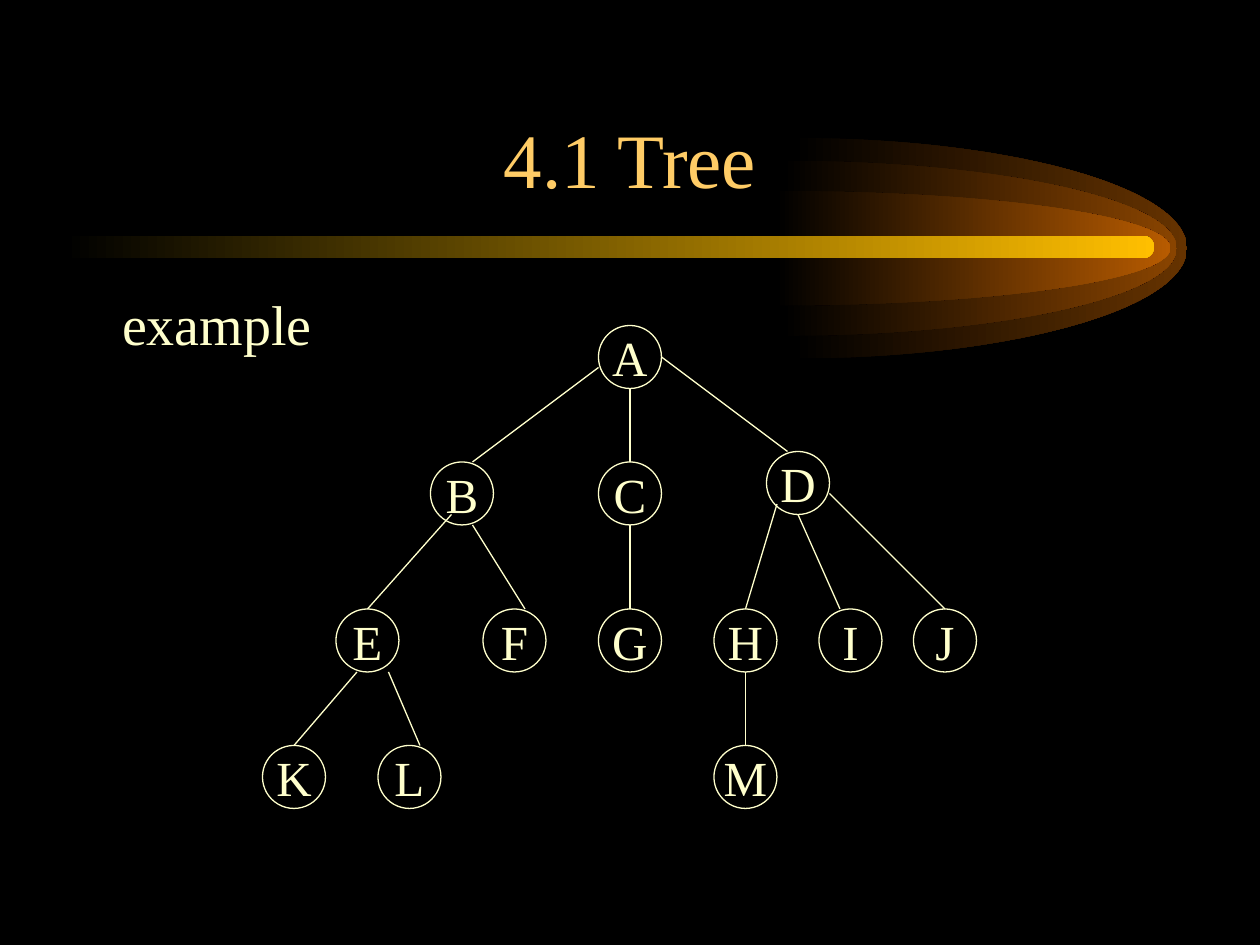
from dataclasses import dataclass

from lxml import etree
from pptx import Presentation, util as u
from pptx.dml.color import RGBColor
from pptx.enum import shapes, text
from pptx.oxml.ns import qn

# Content: the grid has 120 columns and 90 rows over the slide
TITLE = "4.1 Tree"
BODY = "example"
# letter: column and row of the circle's centre
NODES = {
    "A": (60, 34),
    "B": (44, 47), "C": (60, 47), "D": (76, 46),
    "E": (35, 61), "F": (49, 61), "G": (60, 61),
    "H": (71, 61), "I": (81, 61), "J": (90, 61),
    "K": (28, 74), "L": (39, 74), "M": (71, 74),
}
# parent, child, start offset from the parent's centre, column offset at the child's top
EDGES = [
    ("A", "B", (-3, 1), 1), ("A", "C", (0, 3), 0), ("A", "D", (3, 0), -1),
    ("B", "E", (-1, 2), 0), ("B", "F", (1, 3), 1), ("C", "G", (0, 3), 0),
    ("D", "H", (-2, 2), 0), ("D", "I", (0, 3), -1), ("D", "J", (3, 1), 0),
    ("E", "K", (-1, 3), 0), ("E", "L", (2, 3), 1), ("H", "M", (0, 3), 0),
]
# comet glow: left edge, height (inches), end colour
GLOWS = [(6.29, 1.75, "663300"), (6.21, 1.39, "894400"), (6.16, 0.91, "B75B00")]


@dataclass(frozen=True)
class Theme:
    font: str = "Times New Roman"
    background: str = "000000"
    title: str = "FFCC66"
    body: str = "FFFFCC"
    bar: str = "FFBF00"
    title_size: int = 44
    body_size: int = 32
    node_size: int = 28
    line_width: float = 0.75


THEME = Theme()
WIDTH, HEIGHT = u.Inches(10), u.Inches(7.5)
CELL = WIDTH // 120
RADIUS = 3
GLOW_Y, GLOW_WIDTH = 1.97, 3.13
BEZIER = 0.55  # control-point share that rounds a quarter ellipse


def color(value):
    return RGBColor.from_string(value)


def write(shape, words, size, ink, align=text.PP_ALIGN.CENTER,
          anchor=text.MSO_ANCHOR.MIDDLE, wrap=True, left_inset=0.1):
    frame = shape.text_frame
    frame.word_wrap = wrap
    frame.vertical_anchor = anchor
    frame.margin_left = u.Inches(left_inset)
    paragraph = frame.paragraphs[0]
    paragraph.alignment = align
    run = paragraph.add_run()
    run.text = words
    run.font.name = THEME.font
    run.font.size = u.Pt(size)
    run.font.color.rgb = color(ink)


def fade_in(shape, end):
    """Fill from the background colour at left to the end colour at right."""
    shape.shadow.inherit = False
    shape.line.fill.background()
    shape.fill.gradient()
    shape.fill.gradient_angle = 0
    for stop, value in zip(shape.fill.gradient_stops, (THEME.background, end)):
        stop.color.rgb = color(value)


def curve(segment, points):
    """Turn a straight path segment into a cubic one through the given points."""
    segment.tag = qn("a:cubicBezTo")
    for child in list(segment):
        segment.remove(child)
    for x, y in points:
        etree.SubElement(segment, qn("a:pt"), x=str(round(x)), y=str(round(y)))


def add_glow(slide, left, height, end):
    """Add the right half of an ellipse."""
    x, y = u.Inches(left), u.Inches(GLOW_Y - height / 2)
    w, h = u.Inches(GLOW_WIDTH), u.Inches(height)
    builder = slide.shapes.build_freeform(x, y)
    builder.add_line_segments([(x + w, y + h // 2), (x, y + h)], close=True)
    glow = builder.convert_to_shape()
    upper, lower = list(glow._element.iter(qn("a:lnTo")))
    rise = h / 2 * (1 - BEZIER)
    curve(upper, [(w * BEZIER, 0), (w, rise), (w, h / 2)])
    curve(lower, [(w, h - rise), (w * BEZIER, h), (0, h)])
    fade_in(glow, end)


def add_comet(slide):
    for glow in GLOWS:
        add_glow(slide, *glow)
    bar = slide.shapes.add_shape(
        shapes.MSO_SHAPE.ROUNDED_RECTANGLE,
        u.Inches(0.5), u.Inches(1.87), u.Inches(8.66), u.Inches(0.18))
    bar.adjustments[0] = 0.5
    fade_in(bar, THEME.bar)


def add_node(slide, letter, column, row):
    node = slide.shapes.add_shape(
        shapes.MSO_SHAPE.OVAL, (column - RADIUS) * CELL, (row - RADIUS) * CELL,
        2 * RADIUS * CELL, 2 * RADIUS * CELL)
    node.shadow.inherit = False
    node.fill.background()
    node.line.color.rgb = color(THEME.body)
    node.line.width = u.Pt(THEME.line_width)
    write(node, letter, THEME.node_size, THEME.body, wrap=False)
    return node


def add_edge(slide, nodes, parent, child, start, end_shift):
    (x1, y1), (x2, y2) = NODES[parent], NODES[child]
    edge = slide.shapes.add_connector(
        shapes.MSO_CONNECTOR.STRAIGHT,
        (x1 + start[0]) * CELL, (y1 + start[1]) * CELL,
        (x2 + end_shift) * CELL, (y2 - RADIUS) * CELL)
    edge.line.color.rgb = color(THEME.body)
    edge.line.width = u.Pt(THEME.line_width)
    etree.SubElement(edge._element.spPr, qn("a:effectLst"))
    if end_shift == 0:
        edge.end_connect(nodes[child], 0)


def main():
    presentation = Presentation()
    presentation.slide_width, presentation.slide_height = WIDTH, HEIGHT
    slide = presentation.slides.add_slide(presentation.slide_layouts[6])
    slide.background.fill.solid()
    slide.background.fill.fore_color.rgb = color(THEME.background)

    add_comet(slide)
    title = slide.shapes.add_textbox(9 * CELL, 5 * CELL, 102 * CELL, 15 * CELL)
    write(title, TITLE, THEME.title_size, THEME.title, anchor=text.MSO_ANCHOR.BOTTOM)
    body = slide.shapes.add_textbox(9 * CELL, 27 * CELL, 102 * CELL, 54 * CELL)
    write(body, BODY, THEME.body_size, THEME.body, align=text.PP_ALIGN.LEFT,
          anchor=text.MSO_ANCHOR.TOP, left_inset=0.22)

    nodes = {letter: add_node(slide, letter, *place) for letter, place in NODES.items()}
    for edge in EDGES:
        add_edge(slide, nodes, *edge)
    presentation.save("out.pptx")


if __name__ == "__main__":
    main()
